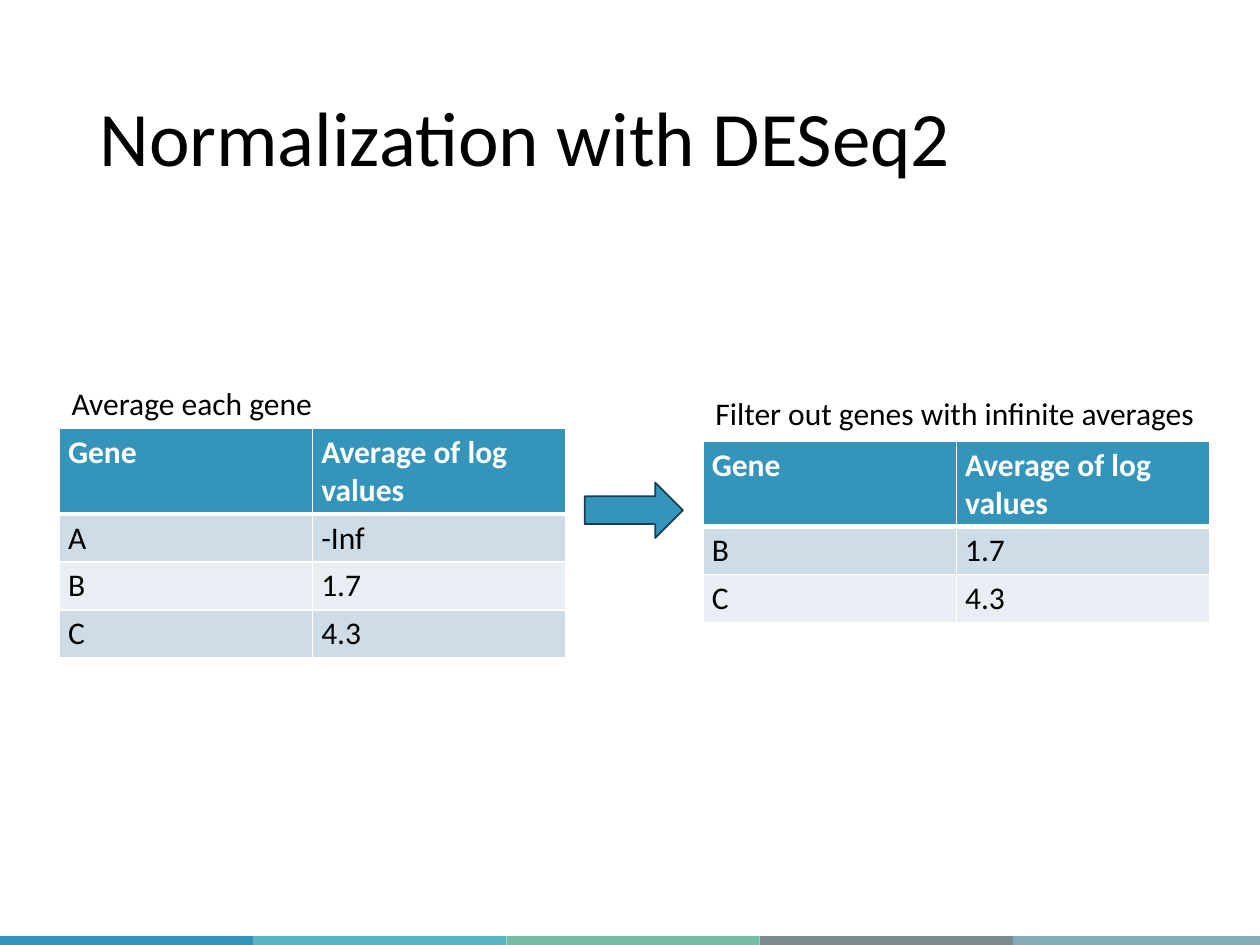
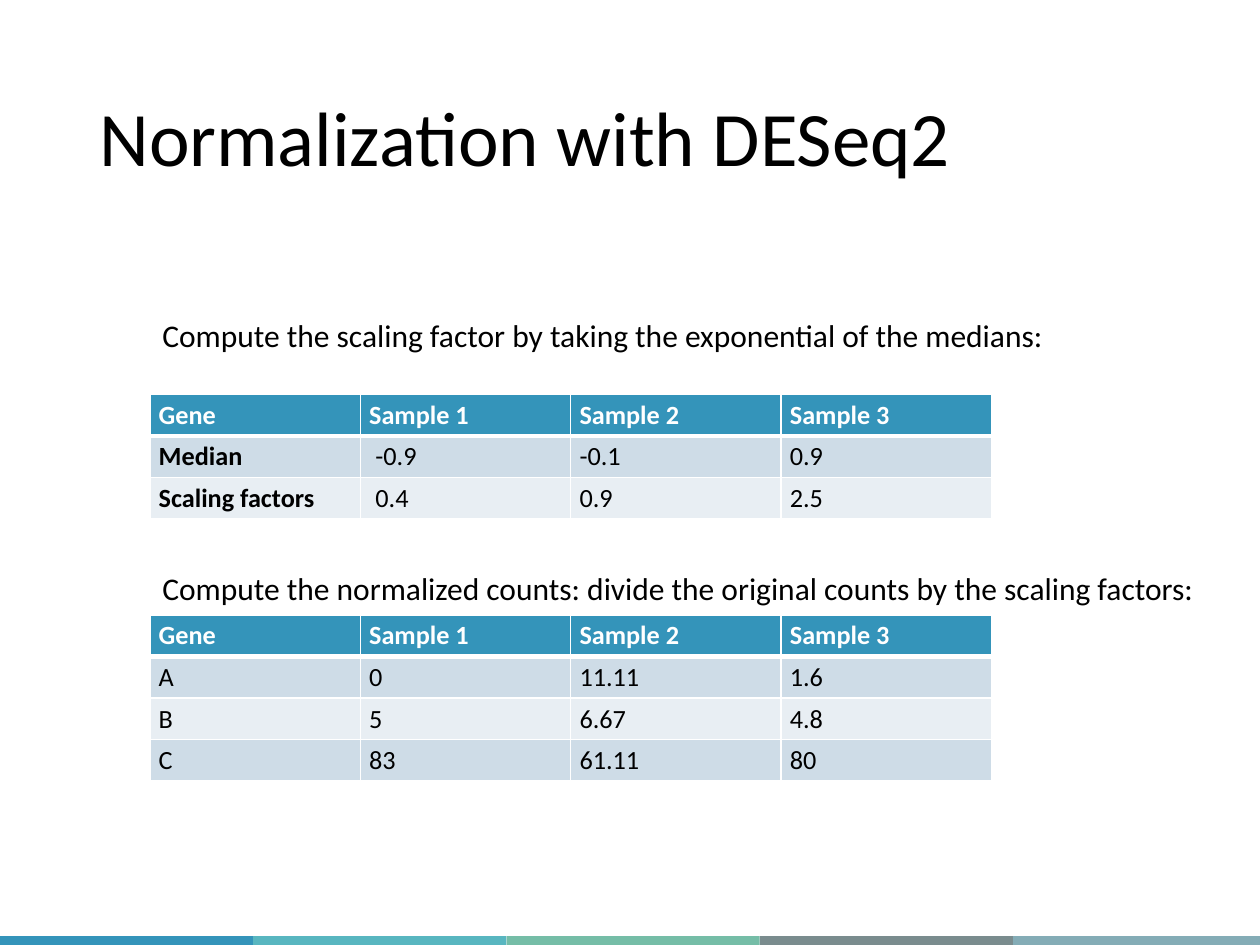
from lxml import etree
from pptx import Presentation
from pptx.dml.color import RGBColor
from pptx.enum.shapes import MSO_SHAPE
from pptx.enum.text import MSO_ANCHOR
from pptx.oxml.ns import qn
from pptx.util import Inches, Pt

RECTANGLE = MSO_SHAPE.RECTANGLE
RIGHT_ARROW = MSO_SHAPE.RIGHT_ARROW
MIDDLE = MSO_ANCHOR.MIDDLE
TOP = MSO_ANCHOR.TOP

COLORS = {
    "text": "000000",
    "white": "FFFFFF",
    "header": "3494BA",
    "odd_row": "CEDCE7",
    "even_row": "E8EEF3",
    "arrow_edge": "174152",
}
FOOTER_BANDS = ["3494BA", "58B6C0", "75BDA7", "7A8C8E", "84ACB6"]
FONT = "Calibri"
TITLE = "Normalization with DESeq2"
SLIDE_WIDTH, SLIDE_HEIGHT = 10, 7.5
SAMPLES_HEADER = ["Gene", "Sample 1", "Sample 2", "Sample 3"]
CELL_MARGINS = {
    "margin_left": Inches(0.07), "margin_right": Inches(0.07),
    "margin_top": Inches(0.04), "margin_bottom": Inches(0.04),
}


def rgb(hex_color):
    return RGBColor.from_string(hex_color)


def set_attributes(target, values):
    for attribute, value in values.items():
        setattr(target, attribute, value)


def write_text(frame, text, size, color="text", bold=False):
    paragraph = frame.paragraphs[0]
    paragraph.text = text
    font = paragraph.runs[0].font
    set_attributes(font, {"name": FONT, "size": Pt(size), "bold": bold})
    font.color.rgb = rgb(COLORS[color])
    return paragraph


def add_filled_shape(slide, kind, left, top, width, height, fill):
    shape = slide.shapes.add_shape(
        kind, Inches(left), Inches(top), Inches(width), Inches(height))
    shape.shadow.inherit = False
    shape.fill.solid()
    shape.fill.fore_color.rgb = rgb(fill)
    shape.line.fill.background()
    return shape


def add_text_box(slide, text, left, top, width, height, size, anchor=TOP):
    box = slide.shapes.add_textbox(
        Inches(left), Inches(top), Inches(width), Inches(height))
    set_attributes(box.text_frame,
                   {"word_wrap": True, "vertical_anchor": anchor})
    return box, write_text(box.text_frame, text, size)


def add_caption(slide, text, left, top, width, height=0.4):
    caption, _ = add_text_box(slide, text, left, top, width, height, 18)
    caption.fill.solid()
    caption.fill.fore_color.rgb = rgb(COLORS["white"])


def add_base_slide(prs):
    """Add a blank slide with the shared footer bands and title."""
    slide = prs.slides.add_slide(prs.slide_layouts[6])
    band_width, band_top = 2.01, 7.43
    for index, color in enumerate(FOOTER_BANDS):
        left = index * band_width
        add_filled_shape(slide, RECTANGLE, left, band_top,
                         min(band_width, SLIDE_WIDTH - left),
                         SLIDE_HEIGHT - band_top, color)
    _, title = add_text_box(slide, TITLE, 0.69, 0.4, 8.62, 1.45, 44, MIDDLE)
    title.line_spacing = 0.9
    return slide


def set_cell_borders(cell, row):
    """Draw white rules, thicker between the header and the body."""
    widths = {"lnL": 1, "lnR": 1,
              "lnT": 3 if row == 1 else 1, "lnB": 3 if row == 0 else 1}
    properties = cell._tc.get_or_add_tcPr()
    for position, (side, width) in enumerate(widths.items()):
        line = etree.Element(qn(f"a:{side}"), w=str(Pt(width)))
        fill = etree.SubElement(line, qn("a:solidFill"))
        etree.SubElement(fill, qn("a:srgbClr"), val=COLORS["white"])
        properties.insert(position, line)


def add_data_table(slide, rows, left, top, column_width, row_height, size,
                   header_height=None, bold_labels=False, indented_column=None):
    """Add a banded table; body text in indented_column is set in slightly."""
    header_height = header_height or row_height
    row_count, column_count = len(rows), len(rows[0])
    table = slide.shapes.add_table(
        row_count, column_count, Inches(left), Inches(top),
        Inches(column_width * column_count),
        Inches(header_height + row_height * (row_count - 1))).table
    for column in table.columns:
        column.width = Inches(column_width)

    for r, values in enumerate(rows):
        is_header = r == 0
        table.rows[r].height = Inches(header_height if is_header else row_height)
        band = "header" if is_header else "odd_row" if r % 2 else "even_row"
        for c, value in enumerate(values):
            cell = table.cell(r, c)
            set_attributes(cell, CELL_MARGINS)
            if c == indented_column and not is_header:
                cell.margin_left = Inches(0.12)
            cell.fill.solid()
            cell.fill.fore_color.rgb = rgb(COLORS[band])
            set_cell_borders(cell, r)
            write_text(cell.text_frame, value, size,
                       "white" if is_header else "text",
                       is_header or (bold_labels and c == 0))


def build_filter_slide(prs):
    slide = add_base_slide(prs)
    header = ["Gene", "Average of log values"]
    finite_genes = [["B", "1.7"], ["C", "4.3"]]
    table_format = {"column_width": 2.01, "row_height": 0.38, "size": 18,
                    "header_height": 0.68}

    # Averages of all genes
    add_caption(slide, "Average each gene", 0.47, 3, 3.31)
    add_data_table(slide, [header, ["A", "-Inf"], *finite_genes],
                   0.47, 3.4, **table_format)

    # Step from all genes to the finite ones
    arrow = add_filled_shape(slide, RIGHT_ARROW, 4.64, 3.83, 0.78, 0.44,
                             COLORS["header"])
    arrow.line.color.rgb = rgb(COLORS["arrow_edge"])
    arrow.line.width = Pt(1)

    # Genes left after filtering
    add_caption(slide, "Filter out genes with infinite averages",
                5.58, 3.08, 4.02)
    add_data_table(slide, [header, *finite_genes], 5.58, 3.5, **table_format)


def build_scaling_slide(prs):
    slide = add_base_slide(prs)
    left = 1.19
    table_format = {"column_width": 1.67, "row_height": 0.325, "size": 15}

    # Scaling factors
    add_caption(slide, "Compute the scaling factor by taking the exponential "
                "of the medians:", left, 2.46, 7.19, 0.71)
    scaling_factors = [
        SAMPLES_HEADER,
        ["Median", "-0.9", "-0.1", "0.9"],
        ["Scaling factors", "0.4", "0.9", "2.5"],
    ]
    add_data_table(slide, scaling_factors, left, 3.13, **table_format,
                   bold_labels=True, indented_column=1)

    # Normalized counts
    add_caption(slide, "Compute the normalized counts: divide the original "
                "counts by the scaling factors:", left, 4.47, 8.49)
    normalized_counts = [
        SAMPLES_HEADER,
        ["A", "0", "11.11", "1.6"],
        ["B", "5", "6.67", "4.8"],
        ["C", "83", "61.11", "80"],
    ]
    add_data_table(slide, normalized_counts, left, 4.88, **table_format)


def main():
    prs = Presentation()
    prs.slide_width = Inches(SLIDE_WIDTH)
    prs.slide_height = Inches(SLIDE_HEIGHT)
    build_filter_slide(prs)
    build_scaling_slide(prs)
    prs.save("out.pptx")


if __name__ == "__main__":
    main()
